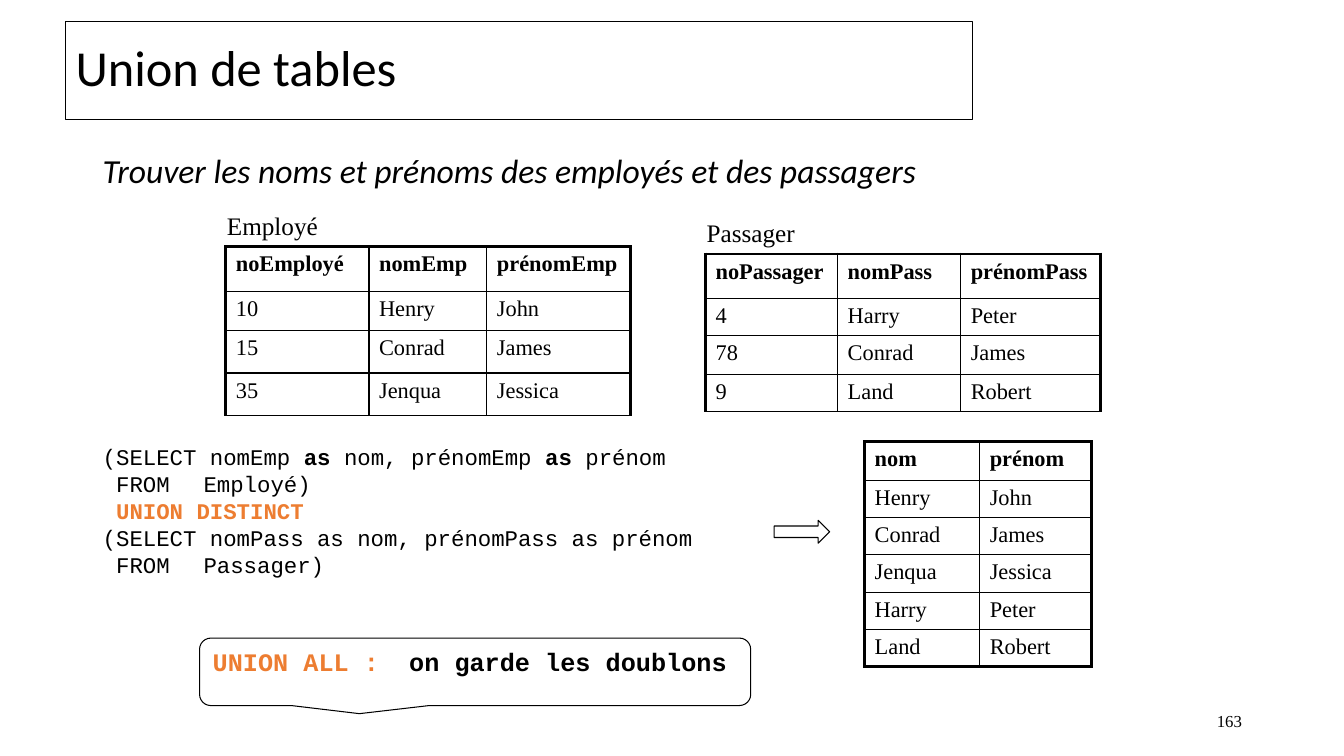
from lxml import etree
from pptx import Presentation
from pptx import util as u
from pptx.dml.color import RGBColor
from pptx.enum import shapes, text
from pptx.oxml.ns import qn

Cm = u.Cm
INK = {"black": "000000", "orange": "ED7D31"}
SERIF, MONO, SANS = "Times New Roman", "Courier New", "Calibri"
THIN, THICK = 1, 2.25


def tint(name):
    return RGBColor.from_string(INK[name])


def style(font, face, size, bold=False, color="black"):
    font.name, font.size, font.bold = face, u.Pt(size), bold
    font.color.rgb = tint(color)


def outline(shape):
    """Give the shape a fine black line and no fill."""
    shape.fill.background()
    shape.line.color.rgb = tint("black")
    shape.line.width = u.Pt(0.75)


def put_text(slide, box, words, face, size, wrap=True):
    area = slide.shapes.add_textbox(*map(Cm, box))
    frame = area.text_frame
    frame.word_wrap = wrap
    para = frame.paragraphs[0]
    para.text = words
    style(para.font, face, size)
    return area


def put_title(slide, box, words):
    title = slide.shapes.title
    title.left, title.top, title.width, title.height = map(Cm, box)
    outline(title)
    frame = title.text_frame
    frame.auto_size = text.MSO_AUTO_SIZE.NONE
    frame.vertical_anchor = text.MSO_ANCHOR.MIDDLE
    para = frame.paragraphs[0]
    para.text = words
    para.alignment = text.PP_ALIGN.LEFT
    para.line_spacing = 0.9
    style(para.font, SANS, 36)


def put_edges(cell, widths):
    props = cell._tc.get_or_add_tcPr()
    for side, width in widths.items():
        edge = etree.SubElement(props, qn("a:ln" + side), w=str(u.Pt(width)))
        fill = etree.SubElement(edge, qn("a:solidFill"))
        etree.SubElement(fill, qn("a:srgbClr"), val=INK["black"])


def put_table(slide, left, top, cols, rows, data, label=None, base=THIN):
    """Draw a thick-framed table; base is the width of its bottom edge."""
    if label:
        put_text(slide, (left - 0.22, top - 1.05, 2.8, 1.02),
                 label, SERIF, 18, wrap=False)
    table = slide.shapes.add_table(
        len(rows), len(cols), Cm(left), Cm(top),
        Cm(sum(cols)), Cm(sum(rows))).table
    table.horz_banding = False
    for col, width in zip(table.columns, cols):
        col.width = Cm(width)
    for row, height in zip(table.rows, rows):
        row.height = Cm(height)
    for r, line in enumerate(data):
        for c, words in enumerate(line):
            cell = table.cell(r, c)
            para = cell.text_frame.paragraphs[0]
            para.text = words
            style(para.font, SERIF, 16, bold=r == 0)
            put_edges(cell, {
                "L": THIN if c else THICK,
                "R": THICK if c == len(cols) - 1 else THIN,
                "T": THIN if r else THICK,
                "B": base if r == len(rows) - 1 else THIN})
            cell.fill.background()


def put_query(slide, box):
    lines = [
        [("(SELECT nomEmp ", False), ("as", True),
         (" nom, prénomEmp ", False), ("as", True), (" prénom", False)],
        [(" FROM\tEmployé)", False)],
        [(" UNION DISTINCT", True)],
        [("(SELECT nomPass as nom, prénomPass as prénom", False)],
        [(" FROM\tPassager)", False)],
    ]
    frame = slide.shapes.add_textbox(*map(Cm, box)).text_frame
    frame.word_wrap = False
    for i, line in enumerate(lines):
        para = frame.add_paragraph() if i else frame.paragraphs[0]
        style(para.font, MONO, 16, color="orange" if i == 2 else "black")
        for words, bold in line:
            run = para.add_run()
            run.text = words
            style(run.font, MONO, 16, bold, "orange" if i == 2 else "black")


def put_note(slide, box):
    note = slide.shapes.add_shape(
        shapes.MSO_SHAPE.ROUNDED_RECTANGULAR_CALLOUT, *map(Cm, box))
    note.shadow.inherit = False
    outline(note)
    note.adjustments[0], note.adjustments[1] = -0.21, 0.62
    frame = note.text_frame
    frame.vertical_anchor = text.MSO_ANCHOR.TOP
    para = frame.paragraphs[0]
    para.alignment = text.PP_ALIGN.LEFT
    tabs = etree.SubElement(para._p.get_or_add_pPr(), qn("a:tabLst"))
    etree.SubElement(tabs, qn("a:tab"), pos=str(Cm(4.95)), algn="l")
    for words, color in (("UNION ALL :\t", "orange"),
                         ("on garde les doublons", "black")):
        run = para.add_run()
        run.text = words
        style(run.font, MONO, 18, True, color)


def put_arrow(slide, box):
    arrow = slide.shapes.add_shape(
        shapes.MSO_SHAPE.RIGHT_ARROW, *map(Cm, box))
    arrow.shadow.inherit = False
    outline(arrow)


def main():
    deck = Presentation()
    deck.slide_width, deck.slide_height = Cm(33.87), Cm(19.05)
    slide = deck.slides.add_slide(deck.slide_layouts[5])

    put_title(slide, (1.65, 0.53, 22.86, 2.49), "Union de tables")
    goal = put_text(slide, (2.34, 3.76, 27.76, 1.68),
                    "Trouver les noms et prénoms des employés et des passagers",
                    SANS, 24).text_frame.paragraphs[0]
    goal.font.italic = True
    goal.line_spacing = 0.9

    put_table(slide, 5.69, 6.22, (3.61, 2.97, 3.61),
              (1.12, 0.99, 1.07, 1.07),
              [("noEmployé", "nomEmp", "prénomEmp"),
               ("10", "Henry", "John"),
               ("15", "Conrad", "James"),
               ("35", "Jenqua", "Jessica")], "Employé")
    put_table(slide, 17.78, 6.4, (3.33, 3.1, 3.53),
              (1.12, 0.94, 0.97, 0.94),
              [("noPassager", "nomPass", "prénomPass"),
               ("4", "Harry", "Peter"),
               ("78", "Conrad", "James"),
               ("9", "Land", "Robert")], "Passager")
    put_query(slide, (2.34, 11.05, 15.44, 3.66))
    put_table(slide, 21.79, 11.13, (2.9, 2.82), [0.97] + [0.94] * 5,
              [("nom", "prénom"), ("Henry", "John"), ("Conrad", "James"),
               ("Jenqua", "Jessica"), ("Harry", "Peter"),
               ("Land", "Robert")], base=THICK)
    put_note(slide, (5.03, 16.08, 13.89, 1.7))
    put_arrow(slide, (19.51, 13.11, 1.4, 0.58))

    page = put_text(slide, (23.93, 17.65, 7.62, 1.02), "163", SERIF, 12)
    page.text_frame.vertical_anchor = text.MSO_ANCHOR.MIDDLE
    page.text_frame.paragraphs[0].alignment = text.PP_ALIGN.RIGHT
    deck.save("out.pptx")


if __name__ == "__main__":
    main()
